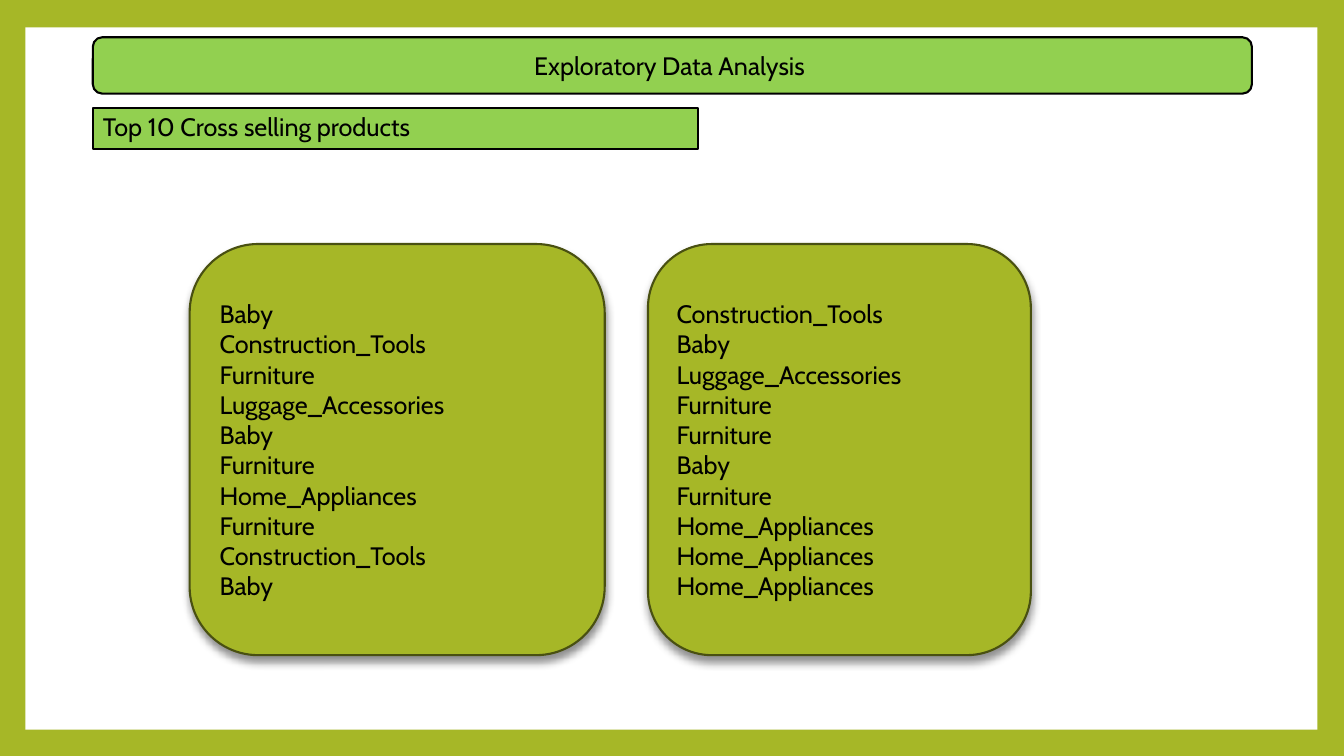
"""Build the slide on the top ten cross selling products."""

from dataclasses import dataclass

from lxml import etree
from pptx import Presentation
from pptx.dml.color import RGBColor
from pptx.enum.shapes import MSO_SHAPE
from pptx.enum.text import MSO_ANCHOR, MSO_AUTO_SIZE, PP_ALIGN
from pptx.oxml.ns import qn
from pptx.shapes.autoshape import Shape
from pptx.slide import Slide
from pptx.util import Cm, Pt

RECTANGLE = MSO_SHAPE.RECTANGLE
ROUNDED = MSO_SHAPE.ROUNDED_RECTANGLE
MIDDLE = MSO_ANCHOR.MIDDLE
NO_AUTOFIT = MSO_AUTO_SIZE.NONE
LEFT = PP_ALIGN.LEFT
CENTER = PP_ALIGN.CENTER

OLIVE = RGBColor(0xA6, 0xB7, 0x27)
DARK_OLIVE = RGBColor(0x49, 0x50, 0x11)
GREEN = RGBColor(0x92, 0xD0, 0x50)
WHITE = RGBColor(0xFF, 0xFF, 0xFF)
BLACK = RGBColor(0x00, 0x00, 0x00)

FONT_NAME = "Cabin"
TITLE_ONLY_LAYOUT = 5

CROSS_SELLING_PAIRS = [
    ("Baby", "Construction_Tools"),
    ("Construction_Tools", "Baby"),
    ("Furniture", "Luggage_Accessories"),
    ("Luggage_Accessories", "Furniture"),
    ("Baby", "Furniture"),
    ("Furniture", "Baby"),
    ("Home_Appliances", "Furniture"),
    ("Furniture", "Home_Appliances"),
    ("Construction_Tools", "Home_Appliances"),
    ("Baby", "Home_Appliances"),
]


@dataclass(frozen=True)
class Box:
    """Place, colours and text of a filled box, with lengths in centimetres."""

    left: float
    top: float
    width: float
    height: float
    fill: RGBColor
    line: RGBColor | None = None
    text: str = ""
    alignment: PP_ALIGN = LEFT
    line_spacing: float = 1.0


PANEL = Box(0.64, 0.69, 32.56, 17.7, WHITE)
BANNER = Box(2.34, 0.94, 29.21, 1.42, GREEN, BLACK, "Exploratory Data Analysis ", CENTER)
TITLE = Box(2.34, 2.72, 15.24, 1.04, GREEN, BLACK, "Top 10 Cross selling products", LEFT, 0.9)
LIST_SPANS = [(4.78, 10.46), (16.33, 9.65)]
PRODUCT_LISTS = [
    Box(left, 6.15, width, 10.36, OLIVE, DARK_OLIVE, "\n".join(products))
    for (left, width), products in zip(LIST_SPANS, zip(*CROSS_SELLING_PAIRS))
]


def format_box(shape: Shape, box: Box) -> None:
    """Apply the fill, outline and text of a box to a shape."""
    shape.fill.solid()
    shape.fill.fore_color.rgb = box.fill
    if box.line is None:
        shape.line.fill.background()
    else:
        shape.line.color.rgb = box.line
        shape.line.width = Pt(1.5)
    shape.shadow.inherit = False
    if not box.text:
        return
    frame = shape.text_frame
    frame.text = box.text
    frame.word_wrap = True
    frame.auto_size = NO_AUTOFIT
    frame.vertical_anchor = MIDDLE
    for paragraph in frame.paragraphs:
        paragraph.alignment = box.alignment
        paragraph.line_spacing = box.line_spacing
        paragraph.font.name = FONT_NAME
        paragraph.font.size = Pt(18)
        paragraph.font.color.rgb = BLACK


def add_box(slide: Slide, kind: MSO_SHAPE, box: Box) -> Shape:
    """Add a preset shape for a box and return it."""
    shape = slide.shapes.add_shape(
        kind, Cm(box.left), Cm(box.top), Cm(box.width), Cm(box.height)
    )
    format_box(shape, box)
    return shape


def add_shadow(shape: Shape) -> None:
    """Give a shape a soft shadow straight below it."""
    effects = shape.element.spPr.find(qn("a:effectLst"))
    shadow = etree.SubElement(
        effects,
        qn("a:outerShdw"),
        blurRad=str(Pt(6)),
        dist=str(Pt(4)),
        dir="5400000",
        rotWithShape="0",
    )
    color = etree.SubElement(shadow, qn("a:srgbClr"), val=str(BLACK))
    etree.SubElement(color, qn("a:alpha"), val="43000")


def place_title(slide: Slide, box: Box) -> Shape:
    """Move and format the title placeholder and return it."""
    title = slide.shapes.title
    title.left, title.top = Cm(box.left), Cm(box.top)
    title.width, title.height = Cm(box.width), Cm(box.height)
    format_box(title, box)
    return title


def main() -> None:
    """Build and save the presentation."""
    presentation = Presentation()
    presentation.slide_width = Cm(33.87)
    presentation.slide_height = Cm(19.05)
    slide = presentation.slides.add_slide(presentation.slide_layouts[TITLE_ONLY_LAYOUT])
    slide.background.fill.solid()
    slide.background.fill.fore_color.rgb = OLIVE

    title = place_title(slide, TITLE)
    panel = add_box(slide, RECTANGLE, PANEL)
    title.element.addprevious(panel.element)
    add_box(slide, ROUNDED, BANNER)
    for product_list in PRODUCT_LISTS:
        add_shadow(add_box(slide, ROUNDED, product_list))

    presentation.save("out.pptx")


if __name__ == "__main__":
    main()
